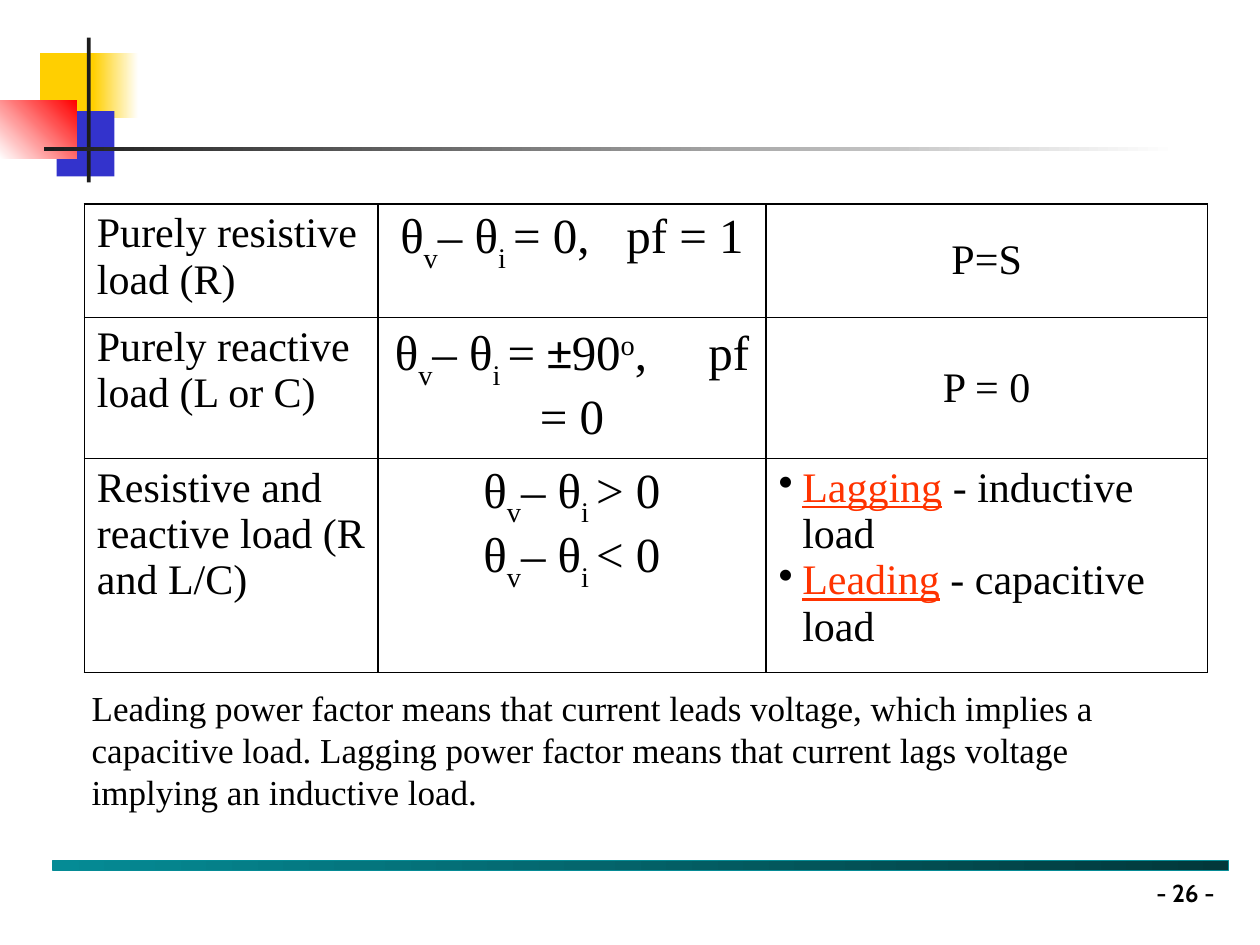
from dataclasses import dataclass

from lxml import etree
from pptx import Presentation
from pptx.dml.color import RGBColor
from pptx.enum.shapes import MSO_SHAPE
from pptx.enum.text import MSO_ANCHOR, PP_ALIGN
from pptx.oxml.ns import qn
from pptx.util import Cm, Pt

RECTANGLE = MSO_SHAPE.RECTANGLE
LEFT, CENTER = PP_ALIGN.LEFT, PP_ALIGN.CENTER
TOP, MIDDLE = MSO_ANCHOR.TOP, MSO_ANCHOR.MIDDLE
BLANK_LAYOUT = 6
SUBSCRIPT, SUPERSCRIPT = -30000, 30000


@dataclass(frozen=True)
class Theme:
    black: str = "000000"
    white: str = "FFFFFF"
    charcoal: str = "1C1C1C"
    yellow: str = "FFCF01"
    blue: str = "3333CC"
    red: str = "FF0000"
    teal: str = "058B95"
    dark_teal: str = "02373A"
    accent: str = "FF3300"
    body_font: str = "Times New Roman"
    symbol_font: str = "Calibri"
    number_font: str = "Cabin"
    equation_size: int = 28
    table_size: int = 24
    note_size: int = 20
    number_size: int = 14


THEME = Theme()


@dataclass(frozen=True)
class Bar:
    left: float
    top: float
    width: float
    height: float
    color: str
    end_color: str = ""
    angle: int = 0
    outline: str = ""


@dataclass(frozen=True)
class Piece:
    text: str
    baseline: int = 0
    spacing: int = 0
    font: str = ""
    color: str = ""
    underline: bool = False


@dataclass(frozen=True)
class Line:
    pieces: tuple[Piece, ...]
    size: int = THEME.table_size
    align: PP_ALIGN = LEFT
    bullet: bool = False
    font: str = THEME.body_font
    bold: bool = False


@dataclass(frozen=True)
class Entry:
    lines: tuple[Line, ...]
    anchor: MSO_ANCHOR = TOP


def plain(text: str, align: PP_ALIGN = LEFT) -> Line:
    return Line((Piece(text),), align=align)


def equation(*ending: Piece) -> Line:
    angle_difference = (Piece("θ"), Piece("v", SUBSCRIPT), Piece("– θ"), Piece("i ", SUBSCRIPT))
    return Line(angle_difference + ending, THEME.equation_size, CENTER)


def definition(term: str, meaning: str) -> Line:
    return Line((Piece(term, color=THEME.accent, underline=True), Piece(meaning)), bullet=True)


BARS = (
    Bar(0.81, 1.07, 1.22, 1.32, THEME.yellow),
    Bar(1.88, 1.07, 0.91, 1.32, THEME.yellow, THEME.white),
    Bar(1.14, 2.24, 1.17, 1.32, THEME.blue),
    Bar(0, 2.03, 1.55, 1.17, THEME.white, THEME.red, 45),
    Bar(1.75, 0.76, 0.08, 2.92, THEME.charcoal),
    Bar(0.89, 2.97, 22.86, 0.08, THEME.charcoal, THEME.white),
    Bar(1.07, 17.35, 23.7, 0.2, THEME.teal, THEME.dark_teal, outline=THEME.teal),
)

COLUMN_WIDTHS = (5.92, 7.82, 8.9)
ROW_HEIGHTS = (2.29, 2.62, 4.32)
ROWS = (
    (
        Entry((plain("Purely resistive load (R)"),)),
        Entry((equation(Piece("= 0,"), Piece(" ", spacing=1400), Piece("pf = 1")),)),
        Entry((plain("P=S", CENTER),), MIDDLE),
    ),
    (
        Entry((plain("Purely reactive load (L or C)"),)),
        Entry((equation(
            Piece("= "), Piece("±", font=THEME.symbol_font), Piece("90"),
            Piece("o", SUPERSCRIPT), Piece(","), Piece(" ", spacing=2800), Piece("pf = 0"),
        ),)),
        Entry((plain("P = 0", CENTER),), MIDDLE),
    ),
    (
        Entry((plain("Resistive and reactive load (R and L/C)"),)),
        Entry((equation(Piece("> 0")), equation(Piece("< 0")))),
        Entry((
            definition("Lagging", " - inductive load"),
            definition("Leading", " - capacitive load"),
        )),
    ),
)
NOTE = (
    "Leading power factor means that current leads voltage, which implies a capacitive load. "
    "Lagging power factor means that current lags voltage implying an inductive load."
)


def rgb(color: str) -> RGBColor:
    return RGBColor.from_string(color)


def draw_bar(slide, bar: Bar) -> None:
    shape = slide.shapes.add_shape(
        RECTANGLE, Cm(bar.left), Cm(bar.top), Cm(bar.width), Cm(bar.height)
    )
    shape.shadow.inherit = False
    if bar.end_color:
        shape.fill.gradient()
        shape.fill.gradient_angle = bar.angle
        for stop, position, color in zip(
            shape.fill.gradient_stops, (0, 1), (bar.color, bar.end_color)
        ):
            stop.position = position
            stop.color.rgb = rgb(color)
    else:
        shape.fill.solid()
        shape.fill.fore_color.rgb = rgb(bar.color)
    if bar.outline:
        shape.line.color.rgb = rgb(bar.outline)
        shape.line.width = Pt(0.75)
    else:
        shape.line.fill.background()


def add_bullet(paragraph) -> None:
    properties = paragraph._p.get_or_add_pPr()
    properties.set("marL", str(Cm(0.48)))
    properties.set("indent", str(-Cm(0.48)))
    bullet_color = etree.SubElement(properties, qn("a:buClr"))
    etree.SubElement(bullet_color, qn("a:srgbClr"), val=THEME.black)
    etree.SubElement(properties, qn("a:buChar"), char="•")


def write_lines(text_frame, lines: tuple[Line, ...]) -> None:
    for index, line in enumerate(lines):
        paragraph = text_frame.add_paragraph() if index else text_frame.paragraphs[0]
        paragraph.alignment = line.align
        if line.bullet:
            add_bullet(paragraph)
        paragraph.font.name = line.font
        paragraph.font.size = Pt(line.size)
        paragraph.font.bold = line.bold
        paragraph.font.color.rgb = rgb(THEME.black)
        for piece in line.pieces:
            run = paragraph.add_run()
            run.text = piece.text
            if piece.font:
                run.font.name = piece.font
            if piece.color:
                run.font.color.rgb = rgb(piece.color)
            if piece.underline:
                run.font.underline = True
            for name, value in (("baseline", piece.baseline), ("spc", piece.spacing)):
                if value:
                    run.font._element.set(name, str(value))


def draw_borders(cell) -> None:
    properties = cell._tc.get_or_add_tcPr()
    for side in ("a:lnL", "a:lnR", "a:lnT", "a:lnB"):
        border = etree.SubElement(properties, qn(side), w=str(Pt(1)))
        fill = etree.SubElement(border, qn("a:solidFill"))
        etree.SubElement(fill, qn("a:srgbClr"), val=THEME.black)


def draw_table(slide) -> None:
    table = slide.shapes.add_table(
        len(ROW_HEIGHTS), len(COLUMN_WIDTHS), Cm(1.7), Cm(4.11),
        Cm(sum(COLUMN_WIDTHS)), Cm(sum(ROW_HEIGHTS)),
    ).table
    table.first_row = table.horz_banding = False
    for column, width in zip(table.columns, COLUMN_WIDTHS):
        column.width = Cm(width)
    for row, height, entries in zip(table.rows, ROW_HEIGHTS, ROWS):
        row.height = Cm(height)
        for cell, entry in zip(row.cells, entries):
            draw_borders(cell)
            cell.fill.background()
            cell.vertical_anchor = entry.anchor
            write_lines(cell.text_frame, entry.lines)


def draw_text(
    slide, left: float, top: float, width: float, height: float, line: Line, wrap: bool
) -> None:
    text_frame = slide.shapes.add_textbox(Cm(left), Cm(top), Cm(width), Cm(height)).text_frame
    text_frame.word_wrap = wrap
    write_lines(text_frame, (line,))


def main() -> None:
    presentation = Presentation()
    presentation.slide_width, presentation.slide_height = Cm(25.4), Cm(19.05)
    slide = presentation.slides.add_slide(presentation.slide_layouts[BLANK_LAYOUT])
    for bar in BARS:
        draw_bar(slide, bar)
    number = Line((Piece("- 26 -"),), THEME.number_size, font=THEME.number_font, bold=True)
    draw_text(slide, 23.06, 17.58, 1.83, 0.86, number, False)
    draw_table(slide)
    draw_text(slide, 1.6, 13.72, 22.2, 2.82, Line((Piece(NOTE),), THEME.note_size), True)
    presentation.save("out.pptx")


if __name__ == "__main__":
    main()
